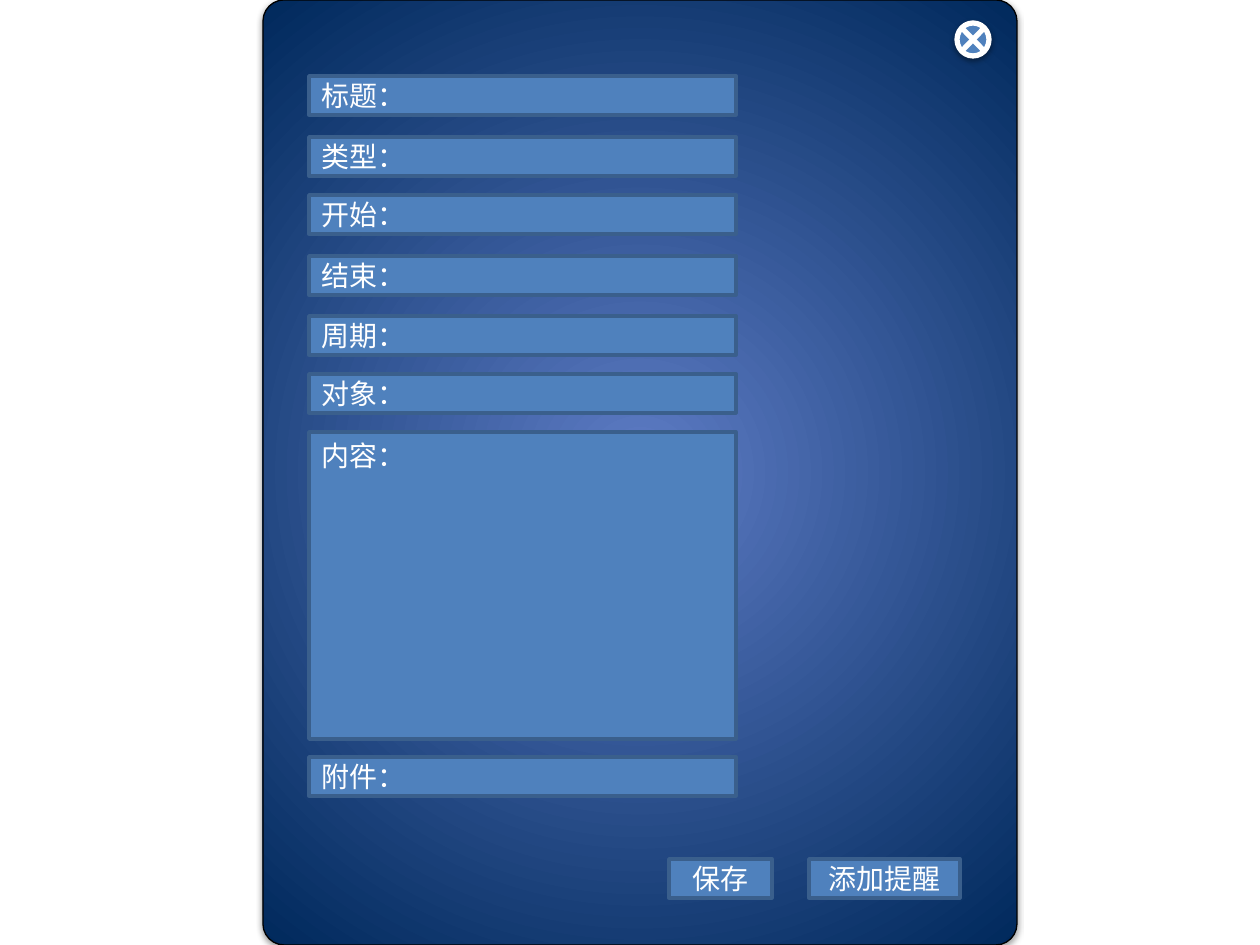
from lxml.etree import SubElement
from pptx import Presentation
from pptx.dml.color import RGBColor
from pptx.enum.shapes import MSO_SHAPE
from pptx.enum.text import MSO_ANCHOR, PP_ALIGN
from pptx.oxml.ns import qn
from pptx.util import Emu, Inches, Pt

SCALE = Inches(1) / 126  # EMU in one px
FONT = "Noto Sans CJK SC"
WHITE = RGBColor(0xFF, 0xFF, 0xFF)
BLACK = RGBColor(0x00, 0x00, 0x00)
BLUE = RGBColor(0x4F, 0x81, 0xBD)
BORDER = RGBColor(0x3A, 0x5F, 0x8C)
GLOW = RGBColor(0x5E, 0x7C, 0xC5)
NAVY = RGBColor(0x00, 0x29, 0x5C)

FIELD_LEFT, FIELD_WIDTH, ROW_HEIGHT = 309, 427, 39
BUTTON_TOP = 859
FIELDS = [  # label, top
    ("标题：", 76), ("类型：", 137), ("开始：", 195), ("结束：", 256),
    ("周期：", 316), ("对象：", 374), ("附件：", 757),
]
BUTTONS = [("保存", 669, 103), ("添加提醒", 809, 151)]  # label, left, width


def px(length):
    return Emu(round(length * SCALE))


def add_box(page, kind, left, top, width, height, line_color, line_width):
    box = page.shapes.add_shape(kind, px(left), px(top), px(width), px(height))
    box.shadow.inherit = False
    box.fill.solid()
    box.fill.fore_color.rgb = BLUE
    box.line.color.rgb = line_color
    box.line.width = Pt(line_width)
    return box


def add_shadow(box):
    effects = box._element.spPr.find(qn("a:effectLst"))
    shadow = SubElement(effects, qn("a:outerShdw"), blurRad="40000",
                        dist="20000", dir="5400000", rotWithShape="0")
    color = SubElement(shadow, qn("a:srgbClr"), val=str(BLACK))
    SubElement(color, qn("a:alpha"), val="38000")


def fill_radial(box, center, edge):
    box.fill.gradient()
    for stop, color, position in zip(box.fill.gradient_stops, (center, edge), (0, 1)):
        stop.color.rgb = color
        stop.position = position
    gradient = box._element.spPr.find(qn("a:gradFill"))
    gradient.remove(gradient.find(qn("a:lin")))
    circle = SubElement(gradient, qn("a:path"), path="circle")
    SubElement(circle, qn("a:fillToRect"), l="50000", t="50000", r="50000", b="50000")


def add_panel(page):
    panel = add_box(page, MSO_SHAPE.ROUNDED_RECTANGLE, 263, 0, 754, 945, BLACK, 0.75)
    panel.adjustments[0] = 0.028
    fill_radial(panel, GLOW, NAVY)
    add_shadow(panel)


def add_label_box(page, text, left, top, width, height=ROW_HEIGHT,
                  align=PP_ALIGN.LEFT, anchor=MSO_ANCHOR.MIDDLE):
    box = add_box(page, MSO_SHAPE.RECTANGLE, left, top, width, height, BORDER, 2)
    frame = box.text_frame
    frame.vertical_anchor = anchor
    para = frame.paragraphs[0]
    para.text = text
    para.alignment = align
    para.font.size = Pt(16)
    para.font.name = FONT
    para.font.color.rgb = WHITE
    # East Asian typeface
    SubElement(para.font._element, qn("a:ea"), typeface=FONT)


def add_close_button(page):
    button = add_box(page, MSO_SHAPE.FLOWCHART_SUMMING_JUNCTION,
                     957, 23, 32, 33, WHITE, 3)
    add_shadow(button)


def main():
    deck = Presentation()
    deck.slide_width, deck.slide_height = Inches(10), Inches(7.5)
    page = deck.slides.add_slide(deck.slide_layouts[6])

    add_panel(page)

    # Form fields
    for label, top in FIELDS:
        add_label_box(page, label, FIELD_LEFT, top, FIELD_WIDTH)
    add_label_box(page, "内容：", FIELD_LEFT, 432, FIELD_WIDTH, 307,
                  anchor=MSO_ANCHOR.TOP)

    # Buttons
    for label, left, width in BUTTONS:
        add_label_box(page, label, left, BUTTON_TOP, width, align=PP_ALIGN.CENTER)
    add_close_button(page)

    deck.save("out.pptx")


if __name__ == "__main__":
    main()
